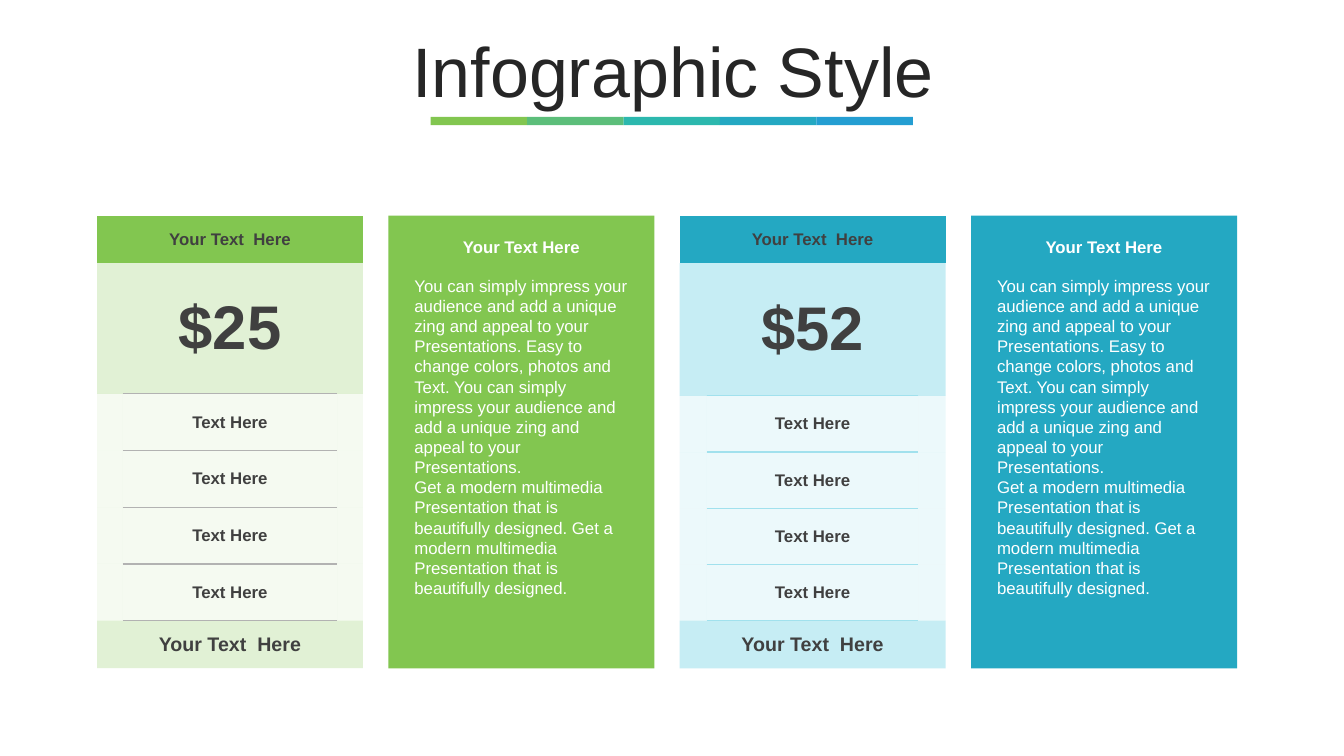
from dataclasses import dataclass

from lxml import etree
from pptx import Presentation
from pptx.dml.color import RGBColor
from pptx.enum.shapes import MSO_SHAPE
from pptx.enum.text import MSO_ANCHOR, MSO_AUTO_SIZE, PP_ALIGN
from pptx.oxml.ns import qn
from pptx.util import Pt

RECTANGLE = MSO_SHAPE.RECTANGLE
MIDDLE = MSO_ANCHOR.MIDDLE
CENTER, LEFT = PP_ALIGN.CENTER, PP_ALIGN.LEFT
FIXED_SIZE, GROW = MSO_AUTO_SIZE.NONE, MSO_AUTO_SIZE.SHAPE_TO_FIT_TEXT

FONT = "Arial"
DARK, WHITE = "404040", "FFFFFF"
GREEN, TEAL = "82C650", "24A8C2"
STRIPE_COLORS = [GREEN, "5CBE7A", "2CB8AE", TEAL, "249ED2"]
NO_STYLE_NO_GRID = "{2D5ABB26-0587-4C30-8999-92F81FD0307C}"

COLUMN_LEFT, COLUMN_PITCH, COLUMN_WIDTH = 69.3, 208.1, 190
COLUMN_TOP, COLUMN_HEIGHT = 154, 323.4
BAND_HEIGHT = 34
FEATURES = ["Text Here"] * 4
PANEL_INSET = 11.5
PANEL_HEADING = "Your Text Here"
PITCH_SENTENCE = ("You can simply impress your audience and add a unique zing "
                  "and appeal to your Presentations.")
DESIGN_SENTENCE = "Get a modern multimedia Presentation that is beautifully designed."
PANEL_BODY = [
    f"{PITCH_SENTENCE} Easy to change colors, photos and Text. {PITCH_SENTENCE}",
    f"{DESIGN_SENTENCE} {DESIGN_SENTENCE}",
]


@dataclass
class Plan:
    column: int
    price: str
    price_height: float
    side_width: float
    accent: str
    band: str
    feature_fill: str
    rule: str


@dataclass
class Panel:
    column: int
    color: str


PLANS = [
    Plan(0, "$25", 93.3, 18.5, GREEN, "B4DD96", "CDE8B9", "B2B2B2"),
    Plan(2, "$52", 94.8, 19.5, TEAL, "71D2E5", "A1E1ED", "A1E1ED"),
]
PANELS = [Panel(1, GREEN), Panel(3, TEAL)]


def rgb(value: str) -> RGBColor:
    return RGBColor.from_string(value)


def column_left(column: int) -> float:
    return COLUMN_LEFT + column * COLUMN_PITCH


def write(frame, *paragraphs: str, size: float = 12, color: str = DARK,
          bold: bool = False, align=CENTER, line_spacing: float = 1.0) -> None:
    for index, words in enumerate(paragraphs):
        paragraph = frame.paragraphs[0] if index == 0 else frame.add_paragraph()
        paragraph.alignment = align
        paragraph.line_spacing = line_spacing
        run = paragraph.add_run()
        run.text = words
        run.font.name = FONT
        run.font.size = Pt(size)
        run.font.bold = bold
        run.font.color.rgb = rgb(color)


def add_block(slide, left: float, top: float, width: float, height: float,
              color: str) -> None:
    block = slide.shapes.add_shape(RECTANGLE, Pt(left), Pt(top), Pt(width), Pt(height))
    block.shadow.inherit = False
    block.fill.solid()
    block.fill.fore_color.rgb = rgb(color)
    block.line.fill.background()


def add_text(slide, left: float, top: float, width: float, height: float,
             *paragraphs: str, **style) -> None:
    box = slide.shapes.add_textbox(Pt(left), Pt(top), Pt(width), Pt(height))
    box.text_frame.word_wrap = True
    box.text_frame.auto_size = GROW
    write(box.text_frame, *paragraphs, **style)


def fill_cell(cell, color: str, opacity: int = 100) -> None:
    cell.fill.solid()
    cell.fill.fore_color.rgb = rgb(color)
    if opacity < 100:
        tint = cell._tc.tcPr.find(qn("a:solidFill"))[0]
        etree.SubElement(tint, qn("a:alpha"), val=str(opacity * 1000))


def rule_cell(cell, color: str, sides: list[str]) -> None:
    """Draw 1 pt borders; call before filling, as borders precede the fill."""
    properties = cell._tc.get_or_add_tcPr()
    for side in sides:
        line = etree.SubElement(properties, qn(f"a:{side}"), w=str(Pt(1)))
        solid = etree.SubElement(line, qn("a:solidFill"))
        etree.SubElement(solid, qn("a:srgbClr"), val=color)


def fill_band(table, row: int, words: str, size: float, color: str,
              opacity: int = 100) -> None:
    """Merge one whole row into a single captioned cell."""
    cell = table.cell(row, 0)
    cell.merge(table.cell(row, 2))
    cell.vertical_anchor = MIDDLE
    fill_cell(cell, color, opacity)
    write(cell.text_frame, words, size=size, bold=True)


def add_plan(slide, plan: Plan) -> None:
    count = len(FEATURES)
    feature_height = (COLUMN_HEIGHT - 2 * BAND_HEIGHT - plan.price_height) / count
    heights = [BAND_HEIGHT, plan.price_height, *[feature_height] * count, BAND_HEIGHT]
    widths = [plan.side_width, COLUMN_WIDTH - 2 * plan.side_width, plan.side_width]
    table = slide.shapes.add_table(
        len(heights), len(widths), Pt(column_left(plan.column)), Pt(COLUMN_TOP),
        Pt(COLUMN_WIDTH), Pt(COLUMN_HEIGHT)).table
    table.first_row = table.horz_banding = False
    table._tbl.tblPr.find(qn("a:tableStyleId")).text = NO_STYLE_NO_GRID
    for row, height in zip(table.rows, heights):
        row.height = Pt(height)
    for column, width in zip(table.columns, widths):
        column.width = Pt(width)

    fill_band(table, 0, "Your Text  Here", 12, plan.accent)
    fill_band(table, 1, plan.price, 44, plan.band, 40)
    for row, feature in enumerate(FEATURES, start=2):
        label = table.cell(row, 1)
        label.vertical_anchor = MIDDLE
        rule_cell(label, plan.rule, ["lnT", "lnB"] if row <= count else ["lnT"])
        write(label.text_frame, feature, bold=True)
        for column in range(3):
            fill_cell(table.cell(row, column), plan.feature_fill, 20)
    fill_band(table, count + 2, "Your Text  Here", 14, plan.band, 40)


def add_panel(slide, panel: Panel) -> None:
    left = column_left(panel.column)
    text_left, text_width = left + PANEL_INSET, COLUMN_WIDTH - 2 * PANEL_INSET
    add_block(slide, left, COLUMN_TOP, COLUMN_WIDTH, COLUMN_HEIGHT, panel.color)
    add_text(slide, text_left, 165.6, text_width, 21.6, PANEL_HEADING,
             color=WHITE, bold=True)
    add_text(slide, text_left, 193.2, text_width, 225.4, *PANEL_BODY,
             color=WHITE, align=LEFT)


def add_title(slide) -> None:
    title = slide.shapes.title
    title.left, title.top, title.width, title.height = Pt(25.2), Pt(26.6), Pt(911.5), Pt(56.9)
    title.text_frame.auto_size = FIXED_SIZE
    title.text_frame.vertical_anchor = MIDDLE
    write(title.text_frame, "Infographic Style", size=50, color="262626", line_spacing=0.8)
    for index, color in enumerate(STRIPE_COLORS):
        add_block(slide, 307.6 + index * 68.9, 83.5, 68.9, 6, color)


def main() -> None:
    presentation = Presentation()
    presentation.slide_width, presentation.slide_height = Pt(960), Pt(540)
    slide = presentation.slides.add_slide(presentation.slide_layouts[5])
    add_title(slide)
    for plan in PLANS:
        add_plan(slide, plan)
    for panel in PANELS:
        add_panel(slide, panel)
    presentation.save("out.pptx")


if __name__ == "__main__":
    main()
